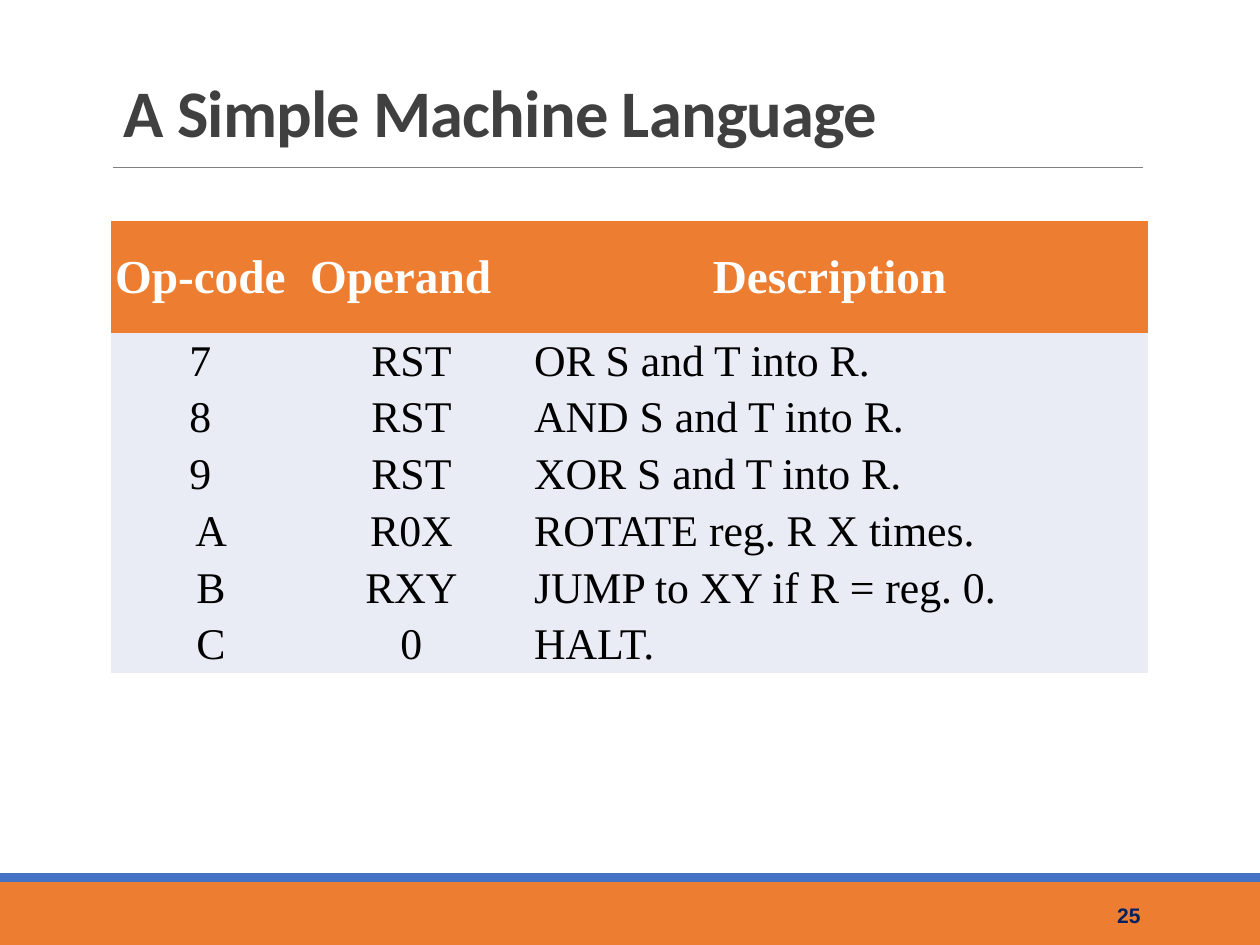
import pptx
import pptx.util
import pptx.dml.color
import pptx.enum.text
import pptx.enum.shapes
import pptx.oxml.ns
import lxml.etree

Inches = pptx.util.Inches
ALIGN = pptx.enum.text.PP_ALIGN
ANCHOR = pptx.enum.text.MSO_ANCHOR

TITLE = "A Simple Machine Language"
PAGE_NUMBER = "25"
HEADER = ("Op-code", "Operand", "Description")
INSTRUCTIONS = [
    ("7", "RST", "OR S and T into R."),
    ("8", "RST", "AND S and T into R."),
    ("9", "RST", "XOR S and T into R."),
    ("A", "R0X", "ROTATE reg. R X times."),
    ("B", "RXY", "JUMP to XY if R = reg. 0."),
    ("C", "0", "HALT."),
]
COLUMN_WIDTHS = (1.42, 1.76, 5.05)
COLUMN_ALIGNS = (ALIGN.CENTER, ALIGN.CENTER, ALIGN.LEFT)
HEADER_HEIGHT, ROW_HEIGHT = 0.89, 0.45
NARROW, INDENT = 0.01, 0.18
PLAIN_TABLE_STYLE = "{2D5ABB26-0587-4C30-8999-92F81FD0307C}"

THEME = {
    "orange": "ED7D31", "blue": "4472C4", "rule": "808080",
    "title": "404040", "header": "FFFFFF", "body": "000000",
    "cell": "E9EBF5", "number": "002060",
    "title_font": "Calibri", "table_font": "Times New Roman", "number_font": "Arial",
    "title_size": 38, "header_size": 27, "body_size": 25, "number_size": 12,
}


def color(name):
    return pptx.dml.color.RGBColor.from_string(THEME[name])


def write(frame, text, role, font, bold=False, align=ALIGN.LEFT, line_spacing=None, tracking=None):
    para = frame.paragraphs[0]
    para.alignment = align
    if line_spacing:
        para.line_spacing = line_spacing
    span = para.add_run()
    span.text = text
    span.font.name = THEME[font]
    span.font.size = pptx.util.Pt(THEME[role + "_size"])
    span.font.bold = bold
    span.font.color.rgb = color(role)
    if tracking:
        span._r.get_or_add_rPr().set("spc", str(int(tracking * 100)))


def add_bar(page, top, height, fill):
    bar = page.shapes.add_shape(pptx.enum.shapes.MSO_SHAPE.RECTANGLE,
                                0, Inches(top), Inches(10), Inches(height))
    bar.shadow.inherit = False
    bar.fill.solid()
    bar.fill.fore_color.rgb = color(fill)
    bar.line.fill.background()


def add_rule(page):
    rule = page.shapes.add_connector(pptx.enum.shapes.MSO_CONNECTOR.STRAIGHT,
                                     Inches(0.9), Inches(1.33), Inches(9.07), Inches(1.33))
    rule.line.color.rgb = color("rule")
    rule.line.width = pptx.util.Pt(0.5)
    lxml.etree.SubElement(rule._element.spPr, pptx.oxml.ns.qn("a:effectLst"))


def add_title(page):
    title = page.shapes.title
    title.left, title.top = Inches(0.88), Inches(0.33)
    title.width, title.height = Inches(8.25), Inches(0.92)
    frame = title.text_frame
    frame.word_wrap = True
    frame.auto_size = pptx.enum.text.MSO_AUTO_SIZE.NONE
    frame.vertical_anchor = ANCHOR.BOTTOM
    write(frame, TITLE, "title", "title_font", bold=True, line_spacing=0.85, tracking=-0.5)


def add_instruction_table(page):
    rows = [HEADER] + INSTRUCTIONS
    heights = [HEADER_HEIGHT] + [ROW_HEIGHT] * len(INSTRUCTIONS)
    holder = page.shapes.add_table(len(rows), len(HEADER), Inches(0.88), Inches(1.75),
                                   Inches(sum(COLUMN_WIDTHS)), Inches(sum(heights)))
    table = holder.table
    table.horz_banding = False
    table.first_row = False
    table._tbl.tblPr.find(pptx.oxml.ns.qn("a:tableStyleId")).text = PLAIN_TABLE_STYLE
    for column, width in zip(table.columns, COLUMN_WIDTHS):
        column.width = Inches(width)
    for row, height in zip(table.rows, heights):
        row.height = Inches(height)
    for row_index, texts in enumerate(rows):
        is_header = row_index == 0
        for column_index, text in enumerate(texts):
            cell = table.cell(row_index, column_index)
            indented = not is_header and (column_index > 0 or text.isalpha())
            cell.margin_left = Inches(INDENT if indented else NARROW)
            cell.margin_right = cell.margin_top = Inches(NARROW)
            cell.margin_bottom = 0
            cell.vertical_anchor = ANCHOR.MIDDLE
            cell.fill.solid()
            cell.fill.fore_color.rgb = color("orange" if is_header else "cell")
            write(cell.text_frame, text, "header" if is_header else "body", "table_font",
                  bold=is_header,
                  align=ALIGN.CENTER if is_header else COLUMN_ALIGNS[column_index])


def add_page_number(page):
    box = page.shapes.add_textbox(Inches(8.38), Inches(7.06), Inches(0.77), Inches(0.4))
    frame = box.text_frame
    frame.word_wrap = True
    frame.vertical_anchor = ANCHOR.MIDDLE
    write(frame, PAGE_NUMBER, "number", "number_font", bold=True, align=ALIGN.RIGHT)


def main():
    deck = pptx.Presentation()
    deck.slide_width, deck.slide_height = Inches(10), Inches(7.5)
    page = deck.slides.add_slide(deck.slide_layouts.get_by_name("Title Only"))
    add_bar(page, 7, 0.5, "orange")
    add_bar(page, 6.93, 0.07, "blue")
    add_rule(page)
    add_title(page)
    add_instruction_table(page)
    add_page_number(page)
    deck.save("out.pptx")


if __name__ == "__main__":
    main()
